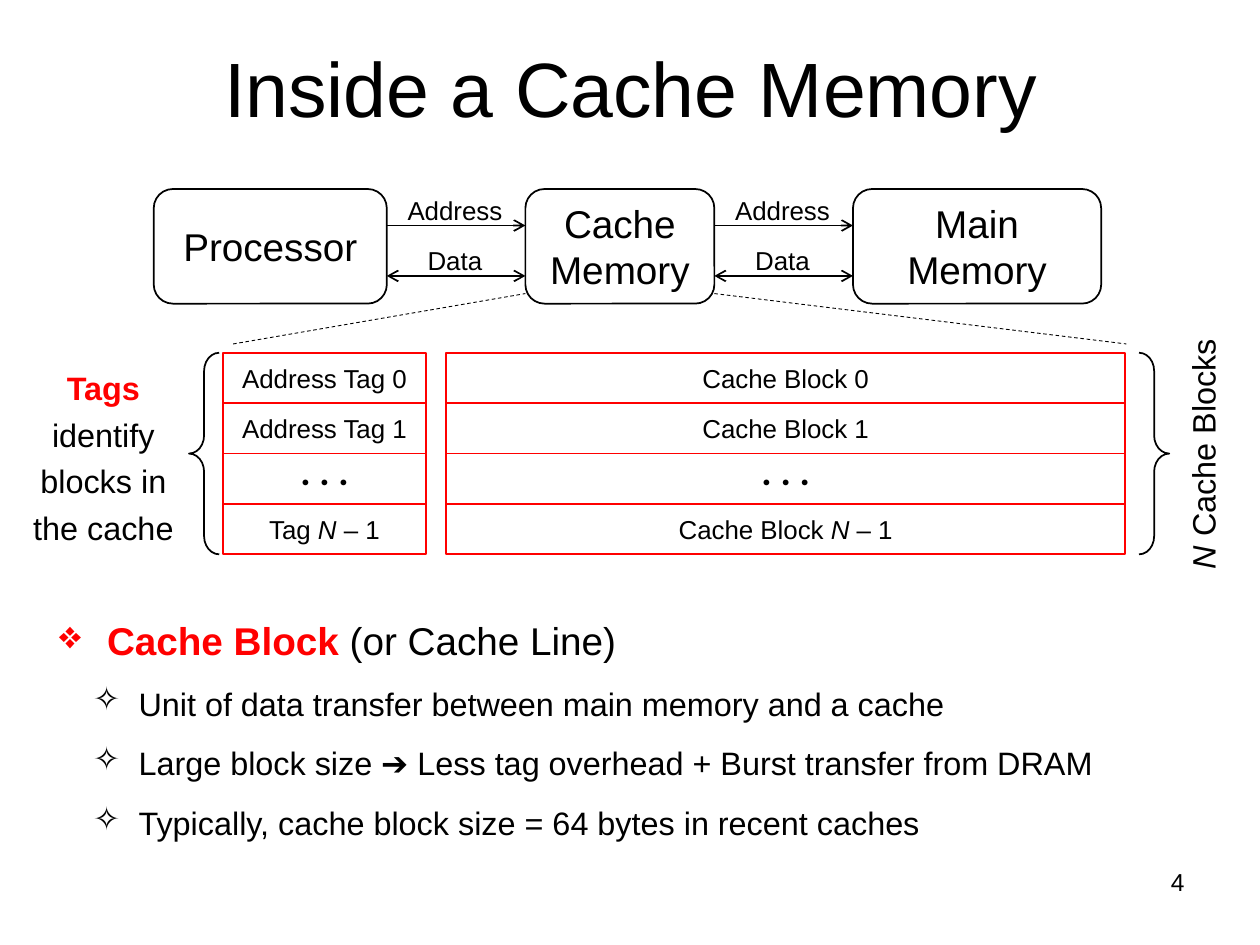
from dataclasses import dataclass
from typing import NamedTuple, Optional

from lxml import etree
from pptx import Presentation, util as u
from pptx.dml.color import RGBColor
from pptx.enum import dml, shapes, text
from pptx.oxml.ns import qn

BLACK = RGBColor(0x00, 0x00, 0x00)
RED = RGBColor(0xFF, 0x00, 0x00)
WHITE = RGBColor(0xFF, 0xFF, 0xFF)
LARGE, MEDIUM, SMALL = 22.1, 18.5, 14.8
CENTER, LEFT, RIGHT = text.PP_ALIGN.CENTER, text.PP_ALIGN.LEFT, text.PP_ALIGN.RIGHT
MIDDLE, TOP = text.MSO_ANCHOR.MIDDLE, text.MSO_ANCHOR.TOP
SHAPE = shapes.MSO_SHAPE


class Box(NamedTuple):
    left: float
    top: float
    width: float
    height: float

    def emu(self) -> list:
        return [u.Inches(length) for length in self]


class Run(NamedTuple):
    text: str
    bold: Optional[bool] = None
    italic: Optional[bool] = None
    color: Optional[RGBColor] = None


@dataclass
class Line:
    runs: list
    size: float = SMALL
    font: str = "Arial"
    align: text.PP_ALIGN = CENTER
    spacing: float = 1.0
    bold: bool = False


@dataclass
class Bullet:
    mark: str
    level: int
    margin: float
    indent: float
    before: float
    line: Line


class Unit(NamedTuple):
    left: float
    width: float
    words: list


class Column(NamedTuple):
    left: float
    width: float
    rows: list


prs = Presentation()
prs.slide_width, prs.slide_height = u.Inches(10), u.Inches(7.5)
slide = prs.slides.add_slide(prs.slide_layouts[6])
slide.background.fill.solid()
slide.background.fill.fore_color.rgb = WHITE


def write(shape, lines: list, anchor=MIDDLE, inset=(0, 0), wrap: bool = True) -> None:
    frame = shape.text_frame
    frame.word_wrap = wrap
    frame.vertical_anchor = anchor
    frame.margin_left = frame.margin_right = u.Inches(inset[0])
    frame.margin_top = frame.margin_bottom = u.Inches(inset[1])
    for i, line in enumerate(lines):
        paragraph = frame.add_paragraph() if i else frame.paragraphs[0]
        paragraph.alignment, paragraph.line_spacing = line.align, line.spacing
        font = paragraph.font
        font.size, font.name, font.bold = u.Pt(line.size), line.font, line.bold
        font.color.rgb = BLACK
        for part in line.runs:
            run = paragraph.add_run()
            run.text = part.text
            run.font.bold, run.font.italic = part.bold, part.italic
            if part.color is not None:
                run.font.color.rgb = part.color


def add_text(box: Box, lines: list, rotation: float = 0, **layout):
    label = slide.shapes.add_textbox(*box.emu())
    label.rotation = rotation
    write(label, lines, **layout)
    return label


def add_outline(kind: SHAPE, box: Box, color: RGBColor, lines: list):
    outline = slide.shapes.add_shape(kind, *box.emu())
    outline.shadow.inherit = False
    outline.fill.background()
    outline.line.color.rgb, outline.line.width = color, u.Pt(1)
    write(outline, lines)
    return outline


def add_line(x1: float, y1: float, x2: float, y2: float, width: float = 1,
             ends: tuple = (), dashed: bool = False) -> None:
    line = slide.shapes.add_connector(
        shapes.MSO_CONNECTOR.STRAIGHT, *[u.Inches(v) for v in (x1, y1, x2, y2)])
    line.line.color.rgb, line.line.width = BLACK, u.Pt(width)
    if dashed:
        line.line.dash_style = dml.MSO_LINE.DASH
    properties = line._element.spPr
    for end in ends:
        etree.SubElement(properties.find(qn("a:ln")), qn(f"a:{end}"), type="arrow")
    etree.SubElement(properties, qn("a:effectLst"))


def add_bullets(box: Box, bullets: list) -> None:
    body = add_text(box, [b.line for b in bullets], anchor=TOP, inset=(0.09, 0.05))
    for paragraph, bullet in zip(body.text_frame.paragraphs, bullets):
        paragraph.level = bullet.level
        paragraph.space_before = u.Pt(bullet.before)
        properties = paragraph._p.get_or_add_pPr()
        properties.set("marL", str(u.Inches(bullet.margin)))
        properties.set("indent", str(u.Inches(bullet.indent)))
        mark = etree.Element(qn("a:buChar"), char=bullet.mark)
        properties.find(qn("a:defRPr")).addprevious(mark)


# Title
add_text(Box(0.51, 0.06, 9, 1.25), [Line([Run("Inside a Cache Memory")], 44)])

# Processor, cache and main memory
UNIT_TOP, UNIT_HEIGHT = 1.5, 0.91
units = [Unit(1.22, 1.85, ["Processor"]),
         Unit(4.17, 1.5, ["Cache", "Memory"]),
         Unit(6.77, 1.97, ["Main", "Memory"])]
for unit in units:
    add_outline(SHAPE.ROUNDED_RECTANGLE, Box(unit.left, UNIT_TOP, unit.width, UNIT_HEIGHT),
                BLACK, [Line([Run(word)], LARGE) for word in unit.words])

# Address and data buses
buses = [("Address", 1.79, ("tailEnd",)), ("Data", 2.19, ("headEnd", "tailEnd"))]
for source, target in zip(units, units[1:]):
    start = source.left + source.width
    for name, y, ends in buses:
        add_line(start, y, target.left, y, ends=ends)
        add_text(Box(start, y - 0.33, 1.08, 0.29), [Line([Run(name)], spacing=1.5)], wrap=False)

# Zoom lines from the cache to its contents
cache = units[1]
add_line(1.85, 2.73, cache.left, 2.33, 0.5, dashed=True)
add_line(cache.left + cache.width, 2.33, 8.94, 2.73, 0.5, dashed=True)

# Tags and blocks
GRID_TOP, ROW = 2.8, 0.4
dots = Line([Run(". . .")], LARGE, "Calibri", spacing=0.5, bold=True)


def numbered(first: str, last: str) -> list:
    return [Line([Run(f"{first} 0")]), Line([Run(f"{first} 1")]), dots,
            Line([Run(f"{last} "), Run("N", italic=True), Run(" – 1")])]


columns = [Column(1.77, 1.61, numbered("Address Tag", "Tag")),
           Column(3.54, 5.39, numbered("Cache Block", "Cache Block"))]
for column in columns:
    for i, row in enumerate(column.rows):
        add_outline(SHAPE.RECTANGLE, Box(column.left, GRID_TOP + i * ROW, column.width, ROW),
                    RED, [row])

# Braces and their captions
for kind, left in ((SHAPE.LEFT_BRACE, 1.5), (SHAPE.RIGHT_BRACE, 9.04)):
    brace = add_outline(kind, Box(left, GRID_TOP, 0.24, 4 * ROW), BLACK, [])
    brace.adjustments[0] = 0.6
add_text(Box(8.6, 3.39, 1.89, 0.43),
         [Line([Run("N", italic=True), Run(" Cache Blocks")], MEDIUM)], rotation=270)
add_text(Box(0.14, GRID_TOP, 1.36, 4 * ROW),
         [Line(runs, MEDIUM, spacing=1.2) for runs in (
             [Run("Tags ", bold=True, color=RED), Run("identify")],
             [Run("blocks in")], [Run("the cache")])])

# Explanation
facts = ["Unit of data transfer between main memory and a cache",
         "Large block size ➔ Less tag overhead + Burst transfer from DRAM",
         "Typically, cache block size = 64 bytes in recent caches"]
heading = Line([Run("Cache Block", bold=True, color=RED), Run(" (or Cache Line)")],
               LARGE, align=LEFT, spacing=1.2)
add_bullets(Box(0.38, 4.77, 9.26, 2.07), [Bullet("❖", 0, 0.38, -0.38, 9, heading)] + [
    Bullet("✧", 1, 0.63, -0.36, 7.5, Line([Run(fact)], MEDIUM, align=LEFT, spacing=1.2))
    for fact in facts])

# Page number
add_text(Box(7.17, 6.83, 2.33, 0.52), [Line([Run("4")], 14, align=RIGHT)],
         anchor=TOP, inset=(0.1, 0.05))

prs.save("out.pptx")
